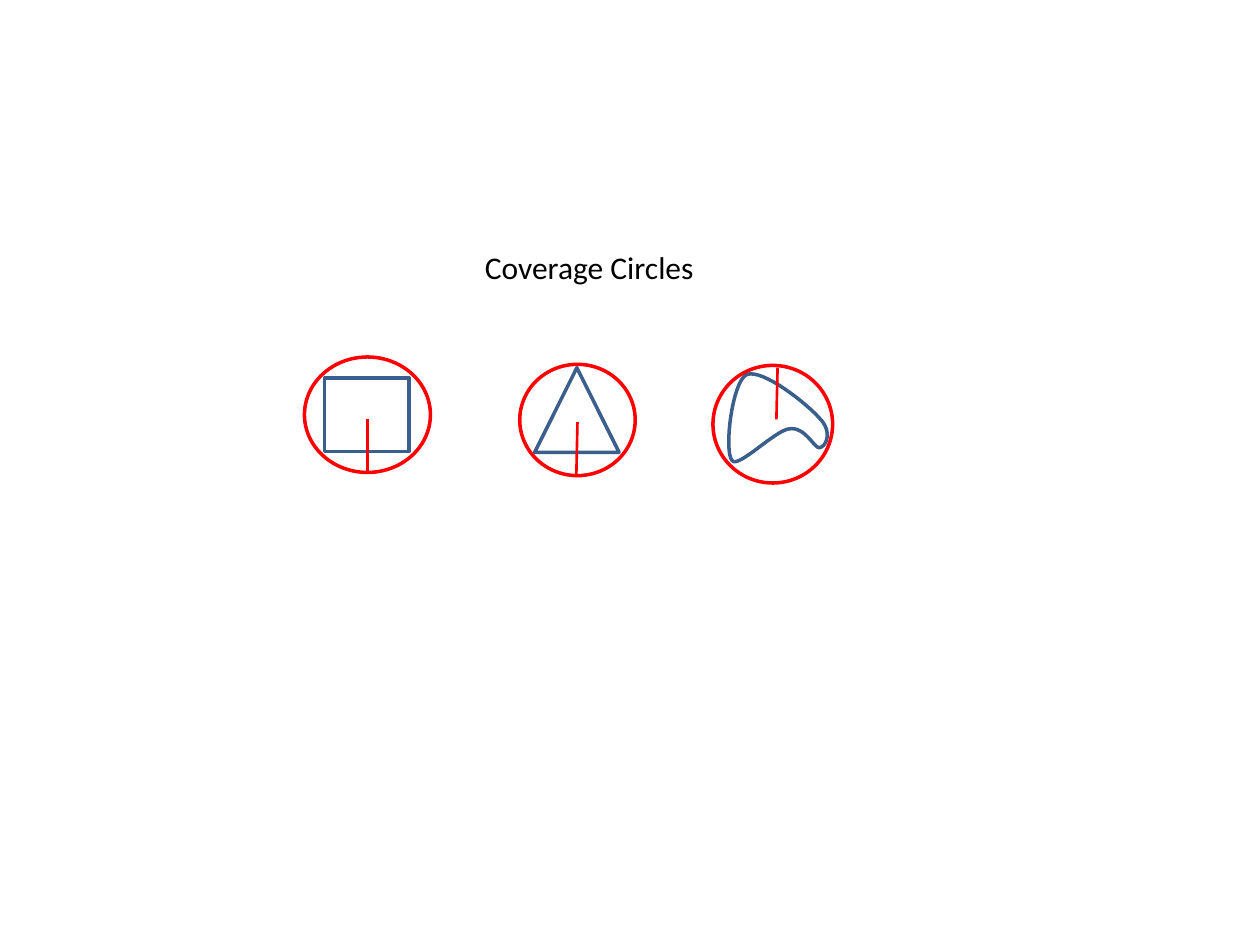
import pptx
import pptx.util
import pptx.dml.color
import pptx.enum.shapes
import pptx.enum.text
import pptx.oxml
import pptx.oxml.ns

CELL = pptx.util.Inches(1) / 12  # grid of 120 columns by 90 rows
COLS, ROWS = 120, 90
FORM = pptx.enum.shapes.MSO_SHAPE

THEME = {
    "circle": {"color": "FF0000", "width": 2},
    "figure": {"color": "3A5F8C", "width": 2},
    "radius": {"color": "FF0000", "width": 1.5},
    "title": {"name": "Calibri", "size": pptx.util.Pt(18), "color": "000000"},
}

# Bezier knots and handles of the blob, as shares of its circle's box
BLOB = [(.89, .45), (.80, .34), (.41, .02), (.28, .08), (.16, .14), (.09, .73),
        (.16, .81), (.21, .88), (.52, .55), (.64, .54), (.77, .52), (.85, .71),
        (.89, .70), (.95, .69), (1, .56), (.89, .45)]

# Circle box on the grid, radius ends as shares, inner form and its share box
PANELS = [
    ((29, 34, 12, 11), ((.5, .54), (.5, 1)), FORM.RECTANGLE, (.16, .18, .67, .64)),
    ((49.5, 34.7, 11, 10.6), ((.5, .52), (.49, 1)),
     FORM.ISOSCELES_TRIANGLE, (.13, .03, .73, .76)),
    ((67.9, 34.8, 11.4, 11.2), ((.54, .02), (.53, .46)), None, None),
]


def rgb(code):
    return pptx.dml.color.RGBColor.from_string(code)


def emu(*cells):
    return [round(cell * CELL) for cell in cells]


def spot(box, share):
    """Grid point at a share of the box."""
    left, top, wide, high = box
    return left + share[0] * wide, top + share[1] * high


def inner(box, part):
    """Box at the given shares of another box."""
    return *spot(box, part[:2]), part[2] * box[2], part[3] * box[3]


def stroke(line, style):
    line.color.rgb = rgb(THEME[style]["color"])
    line.width = pptx.util.Pt(THEME[style]["width"])


def outline(shape, style):
    shape.shadow.inherit = False
    shape.fill.background()
    stroke(shape.line, style)


def add_form(group, form, box, style):
    outline(group.shapes.add_shape(form, *emu(*box)), style)


def curve(knots, steps=16):
    """Points along a chain of cubic Bezier curves."""
    for i in range(0, len(knots) - 1, 3):
        a, b, c, d = knots[i:i + 4]
        for step in range(1, steps + 1):
            t = step / steps
            u = 1 - t
            yield tuple(u**3 * p + 3 * u * u * t * q + 3 * u * t * t * r + t**3 * s
                        for p, q, r, s in zip(a, b, c, d))


def add_blob(group, box):
    pen = group.shapes.build_freeform(*emu(*spot(box, BLOB[0])))
    pen.add_line_segments([emu(*spot(box, dot)) for dot in curve(BLOB)], close=True)
    outline(pen.convert_to_shape(), "figure")


def add_radius(group, box, ends):
    start, end = (emu(*spot(box, share)) for share in ends)
    line = group.shapes.add_connector(
        pptx.enum.shapes.MSO_CONNECTOR.STRAIGHT, *start, *end)
    stroke(line.line, "radius")
    props = line._element.spPr
    props.append(pptx.oxml.parse_xml(
        "<a:effectLst %s/>" % pptx.oxml.ns.nsdecls("a")))


def add_panel(group, box, ends, form, part):
    """One figure inside its covering circle, with the radius."""
    if form is None:
        add_blob(group, box)
    else:
        add_form(group, form, inner(box, part), "figure")
    add_form(group, FORM.OVAL, box, "circle")
    add_radius(group, box, ends)


def add_title(group, box, text):
    frame = group.shapes.add_textbox(*emu(*box)).text_frame
    frame.word_wrap = False
    frame.auto_size = pptx.enum.text.MSO_AUTO_SIZE.SHAPE_TO_FIT_TEXT
    run = frame.paragraphs[0].add_run()
    run.text = text
    for key, value in THEME["title"].items():
        if key == "color":
            run.font.color.rgb = rgb(value)
        else:
            setattr(run.font, key, value)


def main():
    deck = pptx.Presentation()
    deck.slide_width, deck.slide_height = emu(COLS, ROWS)
    slide = deck.slides.add_slide(deck.slide_layouts[6])
    group = slide.shapes.add_group_shape()
    for panel in PANELS:
        add_panel(group, *panel)
    add_title(group, (45, 23, 23.3, 4.8), "Coverage Circles")
    deck.save("out.pptx")


if __name__ == "__main__":
    main()
